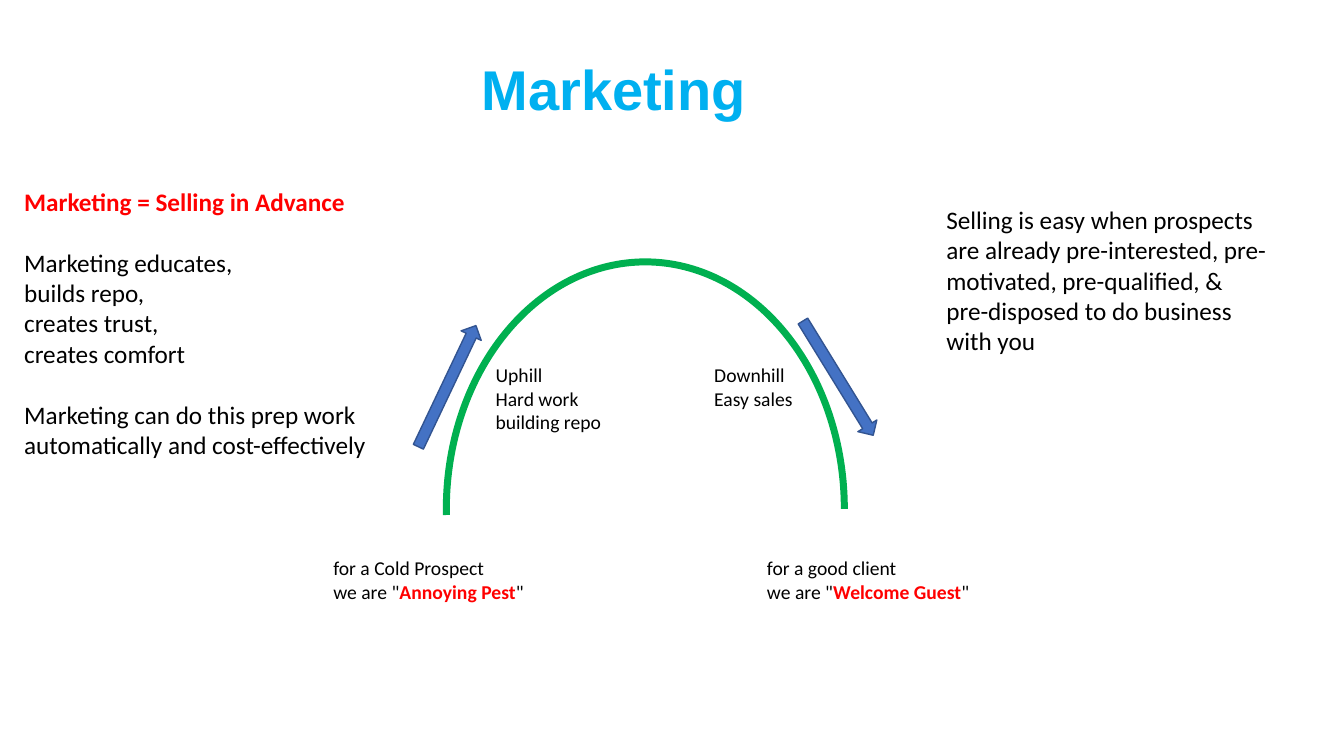
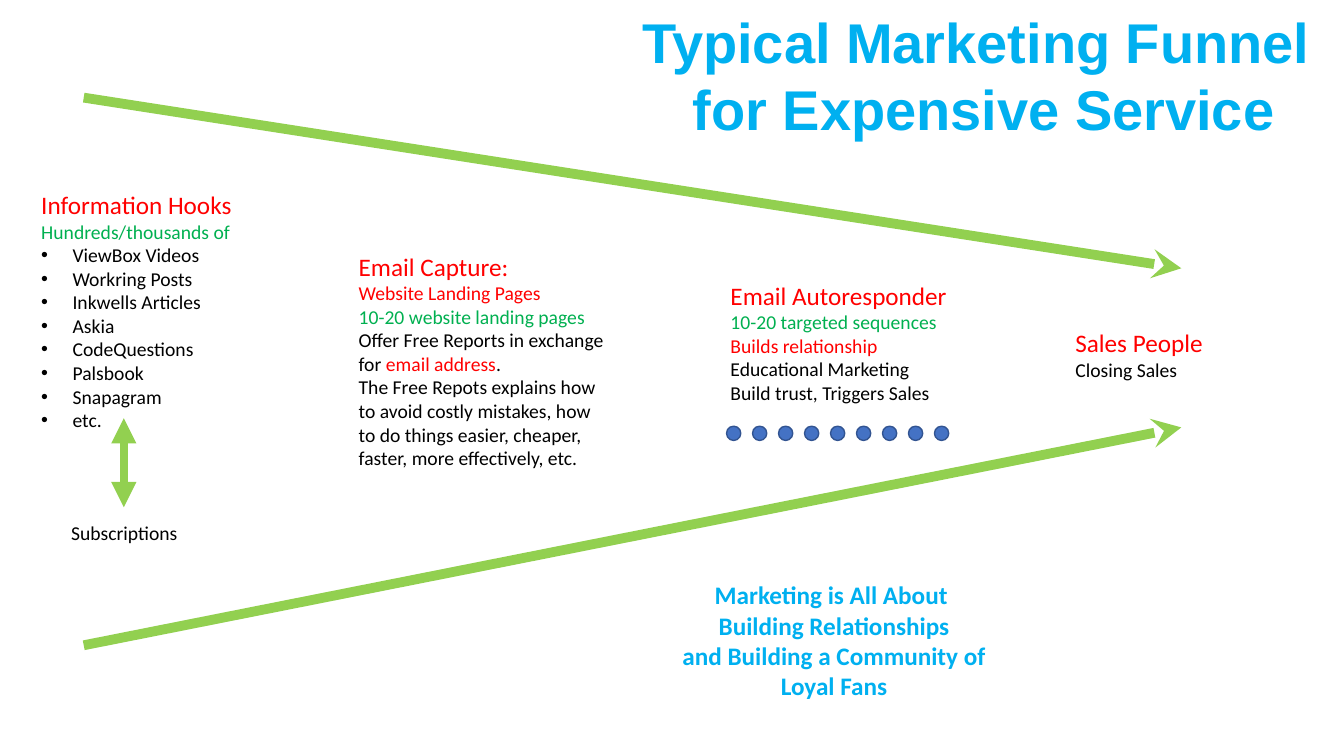
from lxml import etree
from pptx import Presentation
from pptx.dml.color import RGBColor
from pptx.enum.shapes import MSO_CONNECTOR, MSO_SHAPE
from pptx.enum.text import MSO_ANCHOR, MSO_AUTO_SIZE, PP_ALIGN
from pptx.oxml.ns import qn
from pptx.util import Cm, Pt

SKY, RED, GREEN, LIME, BLACK = "00B0F0", "FF0000", "00B050", "92D050", "000000"
BLUE, NAVY = "4472C4", "325491"


def style(size, color, bold=False, name="Calibri"):
    """Return the format values of one kind of text."""
    return {"size": Pt(size), "color": color, "bold": bold, "name": name}


TITLE = style(40, SKY, True, "Arial")
HEADING = style(18, RED)
LEAD = style(18, BLACK)
STRONG_LEAD = style(18, RED, True)
SLOGAN = style(18, SKY, True)
BODY = style(14, BLACK)
RED_BODY = style(14, RED)
GREEN_BODY = style(14, GREEN)
STRONG_BODY = style(14, RED, True)


def rgb(color):
    """Turn a hex string into a colour."""
    return RGBColor.from_string(color)


def line(*spans, **options):
    """Describe one paragraph: its (text, style) spans and its options."""
    return spans, options


def lines(look, *texts, **options):
    """Describe several paragraphs that share one style."""
    return [line((text, look), **options) for text in texts]


def add_bullet(para):
    """Give a paragraph a hanging bullet."""
    properties = para._p.get_or_add_pPr()
    properties.set("marL", str(Cm(0.79)))
    properties.set("indent", str(-Cm(0.79)))
    font = etree.SubElement(properties, qn("a:buFont"))
    font.set("typeface", "Arial")
    etree.SubElement(properties, qn("a:buChar")).set("char", "•")


def fill_text(frame, paragraphs, align=PP_ALIGN.LEFT):
    """Write the described paragraphs into a text frame."""
    settings = {"word_wrap": True, "auto_size": MSO_AUTO_SIZE.SHAPE_TO_FIT_TEXT,
                "vertical_anchor": MSO_ANCHOR.TOP}
    for key, value in settings.items():
        setattr(frame, key, value)
    for index, (spans, options) in enumerate(paragraphs):
        para = frame.add_paragraph() if index else frame.paragraphs[0]
        para.alignment = align
        if "before" in options:
            para.space_before = Pt(options["before"])
        if options.get("bullet"):
            add_bullet(para)
        for text, look in spans:
            span = para.add_run()
            span.text = text
            for key, value in look.items():
                if key == "color":
                    span.font.color.rgb = rgb(value)
                else:
                    setattr(span.font, key, value)


def add_text(page, place, paragraphs, align=PP_ALIGN.LEFT):
    """Add a text box at left, top, width, height in centimetres."""
    box = page.shapes.add_textbox(*map(Cm, place))
    fill_text(box.text_frame, paragraphs, align)


def add_page(deck, place, *titles):
    """Add a slide with its title placed and formatted."""
    page = deck.slides.add_slide(deck.slide_layouts[5])
    title = page.shapes.title
    title.left, title.top, title.width, title.height = map(Cm, place)
    fill_text(title.text_frame, lines(TITLE, *titles), PP_ALIGN.CENTER)
    return page


def add_figure(page, kind, place, fill=BLUE, outline=NAVY, weight=1, rotation=0):
    """Add a preset shape; a fill of None leaves it open."""
    shape = page.shapes.add_shape(kind, *map(Cm, place))
    shape.shadow.inherit = False
    shape.rotation = rotation
    if fill:
        shape.fill.solid()
        shape.fill.fore_color.rgb = rgb(fill)
    else:
        shape.fill.background()
    shape.line.color.rgb = rgb(outline)
    shape.line.width = Pt(weight)
    return shape


def add_arrow(page, ends, weight, **heads):
    """Add a lime connector with the named headEnd and tailEnd."""
    arrow = page.shapes.add_connector(MSO_CONNECTOR.STRAIGHT, *map(Cm, ends))
    arrow.line.color.rgb = rgb(LIME)
    arrow.line.width = Pt(weight)
    outline = arrow.line._get_or_add_ln()
    for end, kind in heads.items():
        etree.SubElement(outline, qn(f"a:{end}")).set("type", kind)
    etree.SubElement(arrow._element.spPr, qn("a:effectLst"))


def build_hill(deck):
    """Build the slide that shows selling as a hill."""
    page = add_page(deck, (11.35, 1.24, 8.23, 1.96), "Marketing")
    hill = add_figure(page, MSO_SHAPE.ARC, (11.25, 6.6, 10.03, 12.45), None, GREEN, 5)
    hill.adjustments[0], hill.adjustments[1] = 106.95, 0
    for left, top, rotation in ((9.58, 9.45, 295.4), (19.43, 9.25, 58.4)):
        add_figure(page, MSO_SHAPE.RIGHT_ARROW, (left, top, 3.38, 0.56), rotation=rotation)
    add_text(page, (12.24, 9.02, 3.61, 2.06),
             lines(BODY, "Uphill", "Hard work", "building repo"))
    add_text(page, (17.75, 9.02, 3.61, 1.45), lines(BODY, "Downhill", "Easy sales"))
    for left, width, person, role in ((8.15, 5.51, "Cold Prospect", "Annoying Pest"),
                                      (19.08, 6.05, "good client", "Welcome Guest")):
        add_text(page, (left, 13.89, width, 1.45),
                 [line((f"for a {person}", BODY)),
                  line(('we are "', BODY), (role, STRONG_BODY), ('"', BODY))])
    add_text(page, (0.36, 4.57, 9.17, 7.19),
             lines(STRONG_LEAD, "Marketing = Selling in Advance")
             + lines(LEAD, "Marketing educates,", before=22)
             + lines(LEAD, "builds repo,", "creates trust,", "creates comfort")
             + lines(LEAD, "Marketing can do this prep work automatically and "
                     "cost-effectively", before=22))
    add_text(page, (23.6, 5.03, 8.59, 4.11),
             lines(LEAD, "Selling is easy when prospects are already pre-interested, "
                   "pre-motivated, pre-qualified, & pre-disposed to do business with you"))


def build_funnel(deck):
    """Build the slide that shows the marketing funnel."""
    page = add_page(deck, (15.82, 0.05, 17.93, 3.68),
                    "Typical Marketing Funnel ", "for Expensive Service")
    add_text(page, (0.79, 4.65, 5.56, 6.4),
             lines(HEADING, "Information Hooks")
             + lines(GREEN_BODY, "Hundreds/thousands of")
             + lines(BODY, "ViewBox Videos", "Workring Posts", "Inkwells Articles",
                     "Askia", "CodeQuestions", "Palsbook", "Snapagram", "etc.",
                     bullet=True))
    add_text(page, (1.09, 13, 4.09, 0.86), lines(BODY, "Subscriptions"), PP_ALIGN.CENTER)
    add_text(page, (8.79, 6.2, 6.81, 5.82),
             lines(HEADING, "Email Capture:")
             + lines(RED_BODY, "Website Landing Pages")
             + lines(GREEN_BODY, "10-20 website landing pages")
             + [line(("Offer Free Reports in exchange for ", BODY),
                     ("email address", RED_BODY), (".", BODY))]
             + lines(BODY, "The Free Repots explains how to avoid costly mistakes, how "
                     "to do things easier, cheaper, faster, more effectively, etc."))
    add_text(page, (18.16, 6.93, 6.81, 3.43),
             lines(HEADING, "Email Autoresponder")
             + lines(GREEN_BODY, "10-20 targeted sequences")
             + lines(RED_BODY, "Builds relationship")
             + lines(BODY, "Educational Marketing", "Build trust, Triggers Sales"))
    add_text(page, (26.85, 8.13, 4.17, 1.63),
             lines(HEADING, "Sales People") + lines(BODY, "Closing Sales"))
    for start, end in ((2.46, 6.76), (16.26, 10.77)):
        add_arrow(page, (2.11, start, 29.77, end), 7, tailEnd="stealth")
    add_arrow(page, (3.12, 10.54, 3.12, 12.78), 6, headEnd="triangle", tailEnd="triangle")
    add_text(page, (16.64, 14.48, 8.76, 3.33),
             lines(SLOGAN, "Marketing is All About ", "Building Relationships",
                   "and Building a Community of Loyal Fans"), PP_ALIGN.CENTER)
    for index in range(9):
        add_figure(page, MSO_SHAPE.OVAL, (18.31 + index * 5.24 / 8, 10.74, 0.36, 0.36))


def main():
    """Build and save the deck."""
    deck = Presentation()
    deck.slide_width, deck.slide_height = Cm(33.87), Cm(19.05)
    build_hill(deck)
    build_funnel(deck)
    deck.save("out.pptx")


if __name__ == "__main__":
    main()
